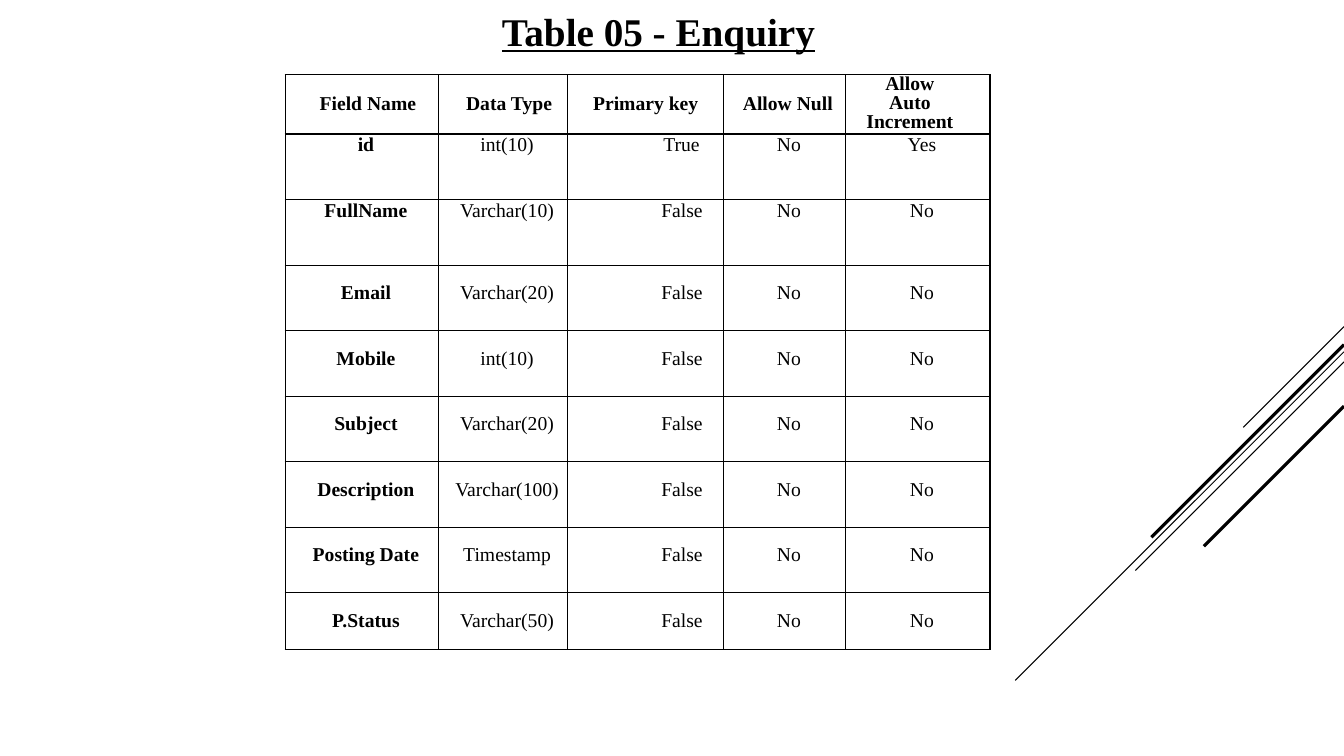
import pptx
import pptx.util
import pptx.dml.color
import pptx.enum.shapes
import pptx.enum.text
import pptx.oxml
import pptx.oxml.ns

Inches = pptx.util.Inches
Pt = pptx.util.Pt
ALIGN = pptx.enum.text.PP_ALIGN
ANCHOR = pptx.enum.text.MSO_ANCHOR
COLORS = {"ink": "000000", "paper": "FFFFFF"}
FACE = "Times New Roman"

HEADS = ["Field Name", "Data Type", "Primary key", "Allow Null", "Allow\nAuto Increment"]
FIELDS = [
    ("id", "int(10)", "True", "No", "Yes"),
    ("FullName", "Varchar(10)", "False", "No", "No"),
    ("Email", "Varchar(20)", "False", "No", "No"),
    ("Mobile", "int(10)", "False", "No", "No"),
    ("Subject", "Varchar(20)", "False", "No", "No"),
    ("Description", "Varchar(100)", "False", "No", "No"),
    ("Posting Date", "Timestamp", "False", "No", "No"),
    ("P.Status", "Varchar(50)", "False", "No", "No"),
]
WIDTHS = [1.52, 1.28, 1.55, 1.21, 1.43]
HEIGHTS = [0.59] + [0.65] * 7 + [0.56]
HEAD_PADS = [(0.12, 0), (0.12, 0), (0, 0), (0.06, 0), (0.18, 0.34)]
BODY_PADS = [(0.08, 0), (0.08, 0), (0, 0.21), (0.08, 0), (0.08, 0)]
STRIPES = [
    (0, 1, 0.75),
    (0.25, 3.26, 0.75),
    (0.35, 2.07, 0.75),
    (0.18, 1.91, 2.25),
    (0.79, 1.39, 2.25),
]


def color(name):
    return pptx.dml.color.RGBColor.from_string(COLORS[name])


def apply(item, values):
    for key, value in values.items():
        setattr(item, key, value)


def style(part, font, **values):
    apply(part, values)
    apply(part.font, {"name": FACE, **font})
    part.font.color.rgb = color("ink")


def draw_title(slide, box, text):
    title = slide.shapes.title
    apply(title, dict(zip(("left", "top", "width", "height"), map(Inches, box))))
    apply(title.text_frame, {"text": text, "word_wrap": True, "vertical_anchor": ANCHOR.MIDDLE})
    style(title.text_frame.paragraphs[0], {"size": Pt(28), "bold": True, "underline": True},
          alignment=ALIGN.CENTER)


def add_edges(cell):
    props = cell._tc.get_or_add_tcPr()
    for side in "LRTB":
        props.append(pptx.oxml.parse_xml(
            f'<a:ln{side} {pptx.oxml.ns.nsdecls("a")} w="12700"><a:solidFill>'
            f'<a:srgbClr val="{COLORS["ink"]}"/></a:solidFill></a:ln{side}>'))


def fill_cell(cell, text, row, col):
    head = row == 0
    left, right = (HEAD_PADS if head else BODY_PADS)[col]
    apply(cell, {
        "text": text,
        "margin_left": Inches(left),
        "margin_right": Inches(right + (0.03 if text == "True" else 0)),
        "margin_top": Inches(0.17 if row > 2 else 0),
        "margin_bottom": 0,
        "vertical_anchor": ANCHOR.MIDDLE if head else ANCHOR.TOP,
    })
    add_edges(cell)
    cell.fill.background()
    for para in cell.text_frame.paragraphs:
        style(para, {"size": Pt(14), "bold": head or col == 0},
              alignment=ALIGN.RIGHT if col == 2 and not head else ALIGN.CENTER)
        if head and col == 4:
            para.line_spacing = Pt(13.7)


def draw_table(slide, box):
    rows = [HEADS] + FIELDS
    table = slide.shapes.add_table(len(rows), len(HEADS), *map(Inches, box)).table
    apply(table, {"first_row": False, "horz_banding": False})
    for col, width in zip(table.columns, WIDTHS):
        col.width = Inches(width)
    for row, height in zip(table.rows, HEIGHTS):
        row.height = Inches(height)
    for r, texts in enumerate(rows):
        for c, text in enumerate(texts):
            fill_cell(table.cell(r, c), text, r, c)


def draw_stripes(slide, box):
    left, top, width, height = box
    edge = left + width
    for drop, run, weight in STRIPES:
        start = top + drop
        line = slide.shapes.add_connector(
            pptx.enum.shapes.MSO_CONNECTOR.STRAIGHT,
            Inches(edge), Inches(start), Inches(edge - run), Inches(start + run))
        line.line.color.rgb = color("ink")
        line.line.width = Pt(weight)
        line._element.spPr.append(
            pptx.oxml.parse_xml(f'<a:effectLst {pptx.oxml.ns.nsdecls("a")}/>'))


def main():
    deck = pptx.Presentation()
    apply(deck, {"slide_width": Inches(13.33), "slide_height": Inches(7.5)})
    slide = deck.slides.add_slide(deck.slide_layouts[5])
    slide.background.fill.solid()
    slide.background.fill.fore_color.rgb = color("paper")
    draw_stripes(slide, (10.07, 3.24, 3.26, 3.51))
    draw_table(slide, (2.83, 0.74, 6.99, 5.7))
    draw_title(slide, (3.77, 0.02, 5.52, 0.57), "Table 05 - Enquiry")
    deck.save("out.pptx")


if __name__ == "__main__":
    main()
